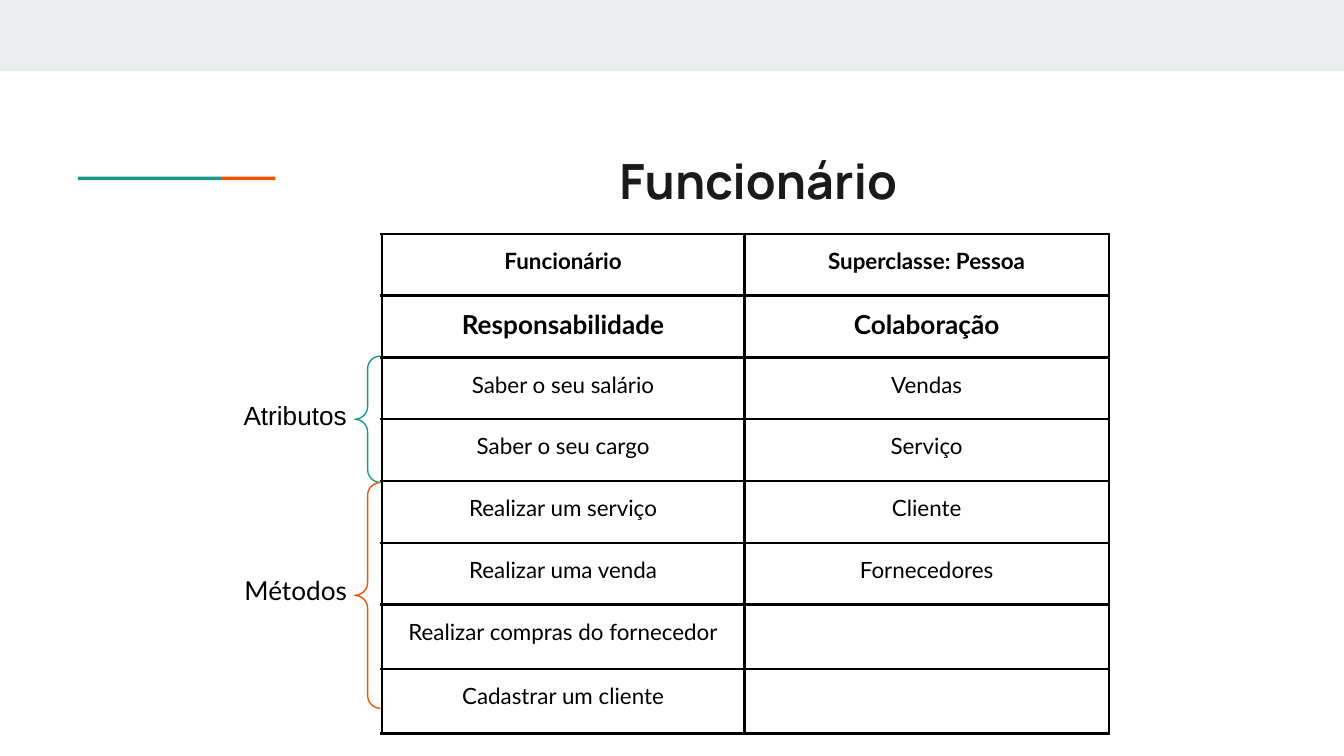
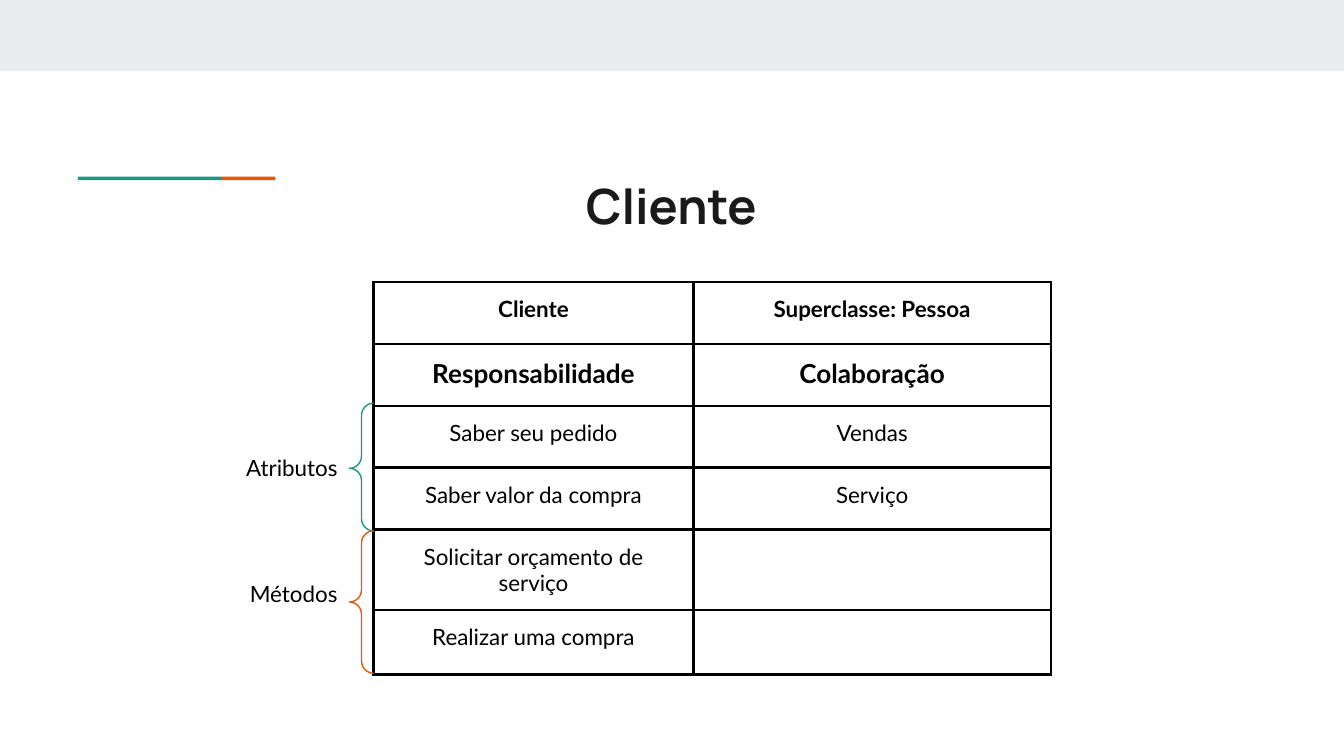
"""Build two CRC card slides, each a class table with braced attributes and methods."""

from dataclasses import dataclass
from typing import NamedTuple

from lxml.etree import SubElement
from pptx import Presentation
from pptx.dml.color import RGBColor as RGB
from pptx.enum.shapes import MSO_SHAPE as Shape
from pptx.enum.text import PP_ALIGN as Align
from pptx.oxml.ns import qn
from pptx.util import Emu, Pt

PX = 914400 // 200
INSET = 20
BLANK = 6


@dataclass(frozen=True)
class Theme:
    band: RGB = RGB(0xE9, 0xED, 0xEE)
    teal: RGB = RGB(0x1A, 0x99, 0x88)
    orange: RGB = RGB(0xEB, 0x56, 0x00)
    ink: RGB = RGB(0x1A, 0x1A, 0x1A)
    black: RGB = RGB(0, 0, 0)
    title_font: str = "Manrope"
    font: str = "Lato"
    title: int = 26
    heading: int = 14
    body: int = 12
    border: float = 1.5
    brace: float = 0.75


T = Theme()


class Box(NamedTuple):
    x: int
    y: int
    w: int
    h: int

    def emu(self) -> list[Emu]:
        return [px(v) for v in self]


class Style(NamedTuple):
    size: int = T.body
    name: str = T.font
    bold: bool = False
    color: RGB = T.black
    align: Align = Align.LEFT


class Member(NamedTuple):
    text: str
    label: Box
    style: Style
    brace: Box
    color: RGB
    tip: float = 0.5


class Card(NamedTuple):
    title: str
    title_box: Box
    x: int
    y: int
    cols: list[int]
    heights: list[int]
    rows: list[tuple[str, str]]
    members: list[Member]


TITLE = Style(T.title, T.title_font, True, T.ink)
CLASS_ROW = Style(bold=True, align=Align.CENTER)
HEADING_ROW = Style(T.heading, bold=True, align=Align.CENTER)
BODY_ROW = Style(align=Align.CENTER)
RIGHT = Style(align=Align.RIGHT)

BARS = [
    (Box(0, 0, 2000, 106), T.band),
    (Box(329, 263, 81, 5), T.orange),
    (Box(116, 263, 213, 5), T.teal),
]

CARDS = [
    Card(
        "Funcionário", Box(902, 204, 508, 126), 568, 348, [540, 542],
        [92] * 6 + [96] * 2,
        [
            ("Funcionário", "Superclasse: Pessoa"),
            ("Responsabilidade", "Colaboração"),
            ("Saber o seu salário", "Vendas"),
            ("Saber o seu cargo", "Serviço"),
            ("Realizar um serviço", "Cliente"),
            ("Realizar uma venda", "Fornecedores"),
            ("Realizar compras do fornecedor", ""),
            ("Cadastrar um cliente", ""),
        ],
        [
            Member("Atributos", Box(334, 574, 202, 62),
                   Style(T.heading, "Arial", align=Align.RIGHT),
                   Box(528, 530, 38, 188), T.teal),
            Member("Métodos", Box(344, 834, 214, 62), Style(T.heading),
                   Box(528, 718, 38, 336), T.orange),
        ],
    ),
    Card(
        "Cliente", Box(852, 242, 342, 118), 556, 420, [476, 532],
        [92] * 4 + [120, 96],
        [
            ("Cliente", "Superclasse: Pessoa"),
            ("Responsabilidade", "Colaboração"),
            ("Saber seu pedido", "Vendas"),
            ("Saber valor da compra", "Serviço"),
            ("Solicitar orçamento de serviço", ""),
            ("Realizar uma compra", ""),
        ],
        [
            Member("Atributos", Box(280, 656, 242, 76), RIGHT,
                   Box(520, 600, 36, 190), T.teal, 0.51),
            Member("Métodos", Box(304, 844, 218, 76), RIGHT,
                   Box(520, 790, 36, 212), T.orange),
        ],
    ),
]


def px(n: int) -> Emu:
    return Emu(n * PX)


def set_all(obj, values: dict) -> None:
    for name, value in values.items():
        setattr(obj, name, value)


def write(p, text: str, style: Style) -> None:
    p.alignment = style.align
    if not text:
        end = SubElement(p._p, qn("a:endParaRPr"), sz=str(style.size * 100))
        SubElement(end, qn("a:latin"), typeface=style.name)
        return
    r = p.add_run()
    r.text = text
    set_all(r.font, {"size": Pt(style.size), "name": style.name, "bold": style.bold})
    r.font.color.rgb = style.color


def add_text(s, box: Box, text: str, style: Style) -> None:
    tf = s.shapes.add_textbox(*box.emu()).text_frame
    sides = ("left", "top", "right", "bottom")
    set_all(tf, {"word_wrap": True} | {f"margin_{side}": px(INSET) for side in sides})
    write(tf.paragraphs[0], text, style)


def add_bar(s, box: Box, color: RGB) -> None:
    sp = s.shapes.add_shape(Shape.RECTANGLE, *box.emu())
    sp.shadow.inherit = False
    sp.fill.solid()
    sp.fill.fore_color.rgb = color
    sp.line.fill.background()


def add_member(s, member: Member) -> None:
    sp = s.shapes.add_shape(Shape.LEFT_BRACE, *member.brace.emu())
    sp.shadow.inherit = False
    sp.fill.background()
    sp.line.color.rgb = member.color
    sp.line.width = Pt(T.brace)
    sp.adjustments[0] = 0.5
    sp.adjustments[1] = member.tip
    add_text(s, member.label, member.text, member.style)


def add_borders(cell) -> None:
    props = cell._tc.get_or_add_tcPr()
    for i, side in enumerate(("lnL", "lnR", "lnT", "lnB")):
        ln = props.makeelement(qn(f"a:{side}"), {"w": str(Pt(T.border))})
        fill = SubElement(ln, qn("a:solidFill"))
        SubElement(fill, qn("a:srgbClr"), val=str(T.black))
        props.insert(i, ln)


def add_card_table(s, card: Card) -> None:
    box = Box(card.x, card.y, sum(card.cols), sum(card.heights))
    table = s.shapes.add_table(len(card.rows), len(card.cols), *box.emu()).table
    set_all(table, {"first_row": False, "horz_banding": False})
    for col, width in zip(table.columns, card.cols):
        col.width = px(width)
    for i, (row, height, texts) in enumerate(zip(table.rows, card.heights, card.rows)):
        row.height = px(height)
        style = (CLASS_ROW, HEADING_ROW, BODY_ROW)[min(i, 2)]
        for cell, text in zip(row.cells, texts):
            sides = ("left", "top", "right", "bottom")
            set_all(cell, {f"margin_{side}": px(INSET) for side in sides})
            cell.fill.background()
            add_borders(cell)
            write(cell.text_frame.paragraphs[0], text, style)


def add_card(prs, card: Card) -> None:
    s = prs.slides.add_slide(prs.slide_layouts[BLANK])
    for box, color in BARS:
        add_bar(s, box, color)
    add_text(s, card.title_box, card.title, TITLE)
    add_card_table(s, card)
    for member in card.members:
        add_member(s, member)


def main() -> None:
    prs = Presentation()
    set_all(prs, {"slide_width": px(2000), "slide_height": px(1125)})
    for card in CARDS:
        add_card(prs, card)
    prs.save("out.pptx")


if __name__ == "__main__":
    main()
